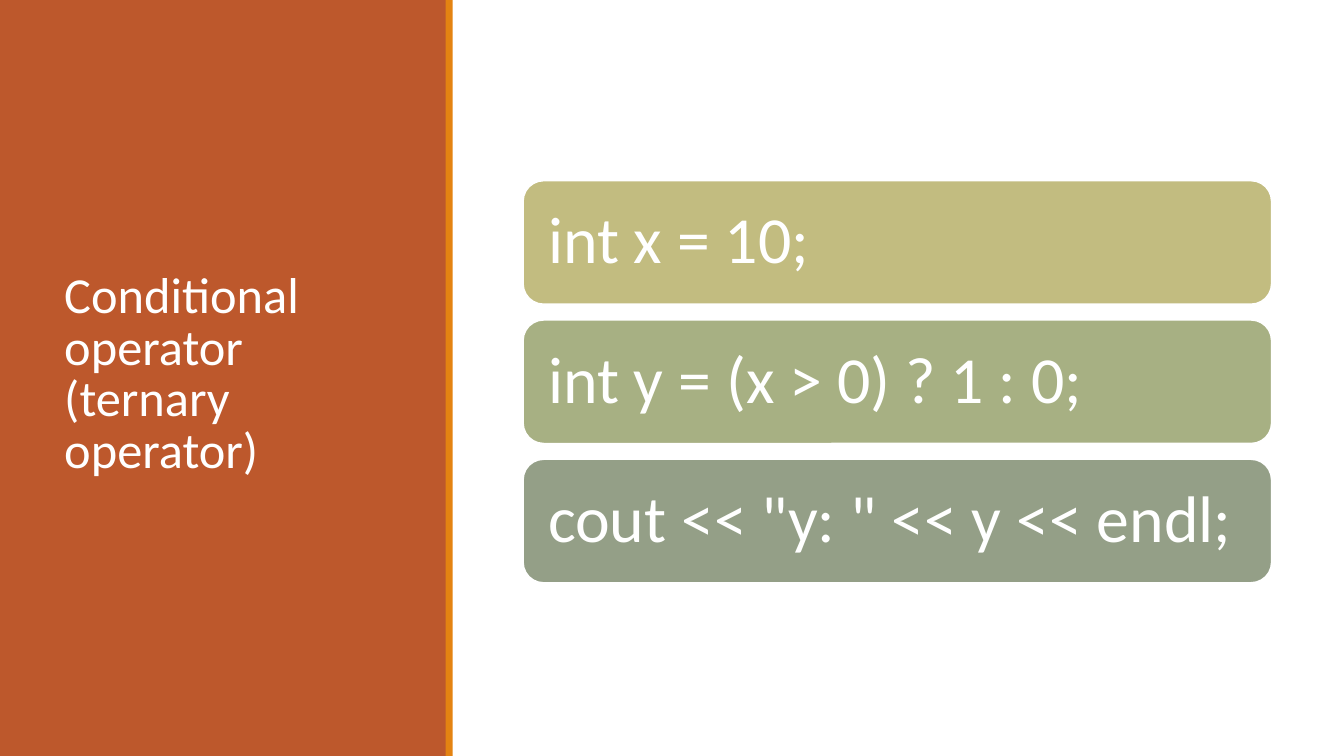
import dataclasses

import pptx
import pptx.dml.color
import pptx.enum.shapes
import pptx.enum.text
import pptx.util

Cm = pptx.util.Cm
Pt = pptx.util.Pt
MSO_SHAPE = pptx.enum.shapes.MSO_SHAPE


@dataclasses.dataclass(frozen=True)
class Theme:
    font: str = "Calibri"
    title_size: int = 36
    code_size: int = 47
    white: str = "FFFFFF"
    panel: str = "BD582C"
    stripe: str = "E48312"


@dataclasses.dataclass(frozen=True)
class CodeLine:
    code: str
    fill: str


THEME = Theme()
TITLE = "Conditional operator (ternary operator)"
CODE_LINES = [
    CodeLine("int x = 10;", "C2BC80"),
    CodeLine("int y = (x > 0) ? 1 : 0;", "A7B083"),
    CodeLine('cout << "y: " << y << endl;', "949F87"),
]
CODE_TOP, CODE_PITCH = 4.55, 3.51


def rgb(value: str) -> pptx.dml.color.RGBColor:
    return pptx.dml.color.RGBColor.from_string(value)


def add_block(slide, kind, left: float, top: float, width: float, height: float,
              fill: str, outline: str = ""):
    """Add a filled shape, with lengths in centimetres."""
    block = slide.shapes.add_shape(kind, Cm(left), Cm(top), Cm(width), Cm(height))
    block.shadow.inherit = False
    block.fill.solid()
    block.fill.fore_color.rgb = rgb(fill)
    if outline:
        block.line.color.rgb = rgb(outline)
        block.line.width = Pt(1.25)
    else:
        block.line.fill.background()
    return block


def write_text(holder, text: str, *, size: int, spacing: float, inset: float) -> None:
    """Write one left-aligned, vertically centred paragraph."""
    frame = holder.text_frame
    frame.word_wrap = True
    frame.vertical_anchor = pptx.enum.text.MSO_ANCHOR.MIDDLE
    frame.margin_left = frame.margin_right = Cm(inset)
    frame.margin_top = frame.margin_bottom = Cm(0.13)
    paragraph = frame.paragraphs[0]
    paragraph.alignment = pptx.enum.text.PP_ALIGN.LEFT
    paragraph.line_spacing = spacing
    run = paragraph.add_run()
    run.text = text
    run.font.name = THEME.font
    run.font.size = Pt(size)
    run.font.color.rgb = rgb(THEME.white)


def main() -> None:
    deck = pptx.Presentation()
    deck.slide_width, deck.slide_height = Cm(33.87), Cm(19.05)
    slide = deck.slides.add_slide(deck.slide_layouts[6])

    # Title panel with its edge stripe
    add_block(slide, MSO_SHAPE.RECTANGLE, 0, 0, 11.25, 19.05, THEME.panel)
    title = slide.shapes.add_textbox(Cm(1.37), Cm(1.45), Cm(8.56), Cm(16.03))
    write_text(title, TITLE, size=THEME.title_size, spacing=0.85, inset=0.25)
    add_block(slide, MSO_SHAPE.RECTANGLE, 11.23, 0, 0.18, 19.05, THEME.stripe)

    # Stack of code lines
    for row, line in enumerate(CODE_LINES):
        block = add_block(slide, MSO_SHAPE.ROUNDED_RECTANGLE, 13.18,
                          CODE_TOP + row * CODE_PITCH, 18.87, 3.12,
                          line.fill, outline=THEME.white)
        block.adjustments[0] = 0.167
        write_text(block, line.code, size=THEME.code_size, spacing=0.9, inset=0.48)

    deck.save("out.pptx")


if __name__ == "__main__":
    main()
